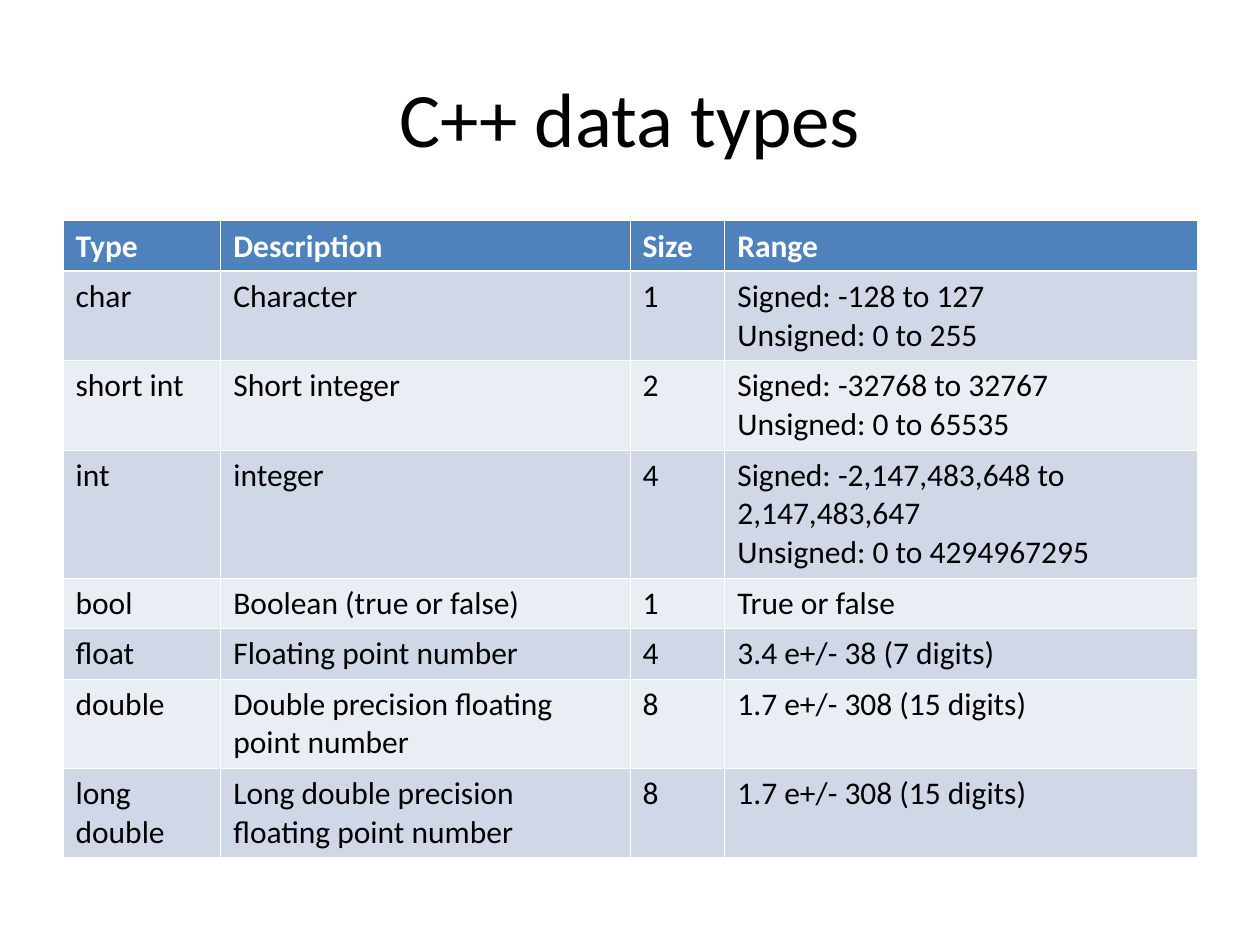
"""Build a slide with a table of C++ data types."""
import pptx
import pptx.dml.color
import pptx.enum.text
import pptx.oxml
import pptx.oxml.ns
import pptx.util

TITLE = "C++ data types"
HEAD = ("Type", "Description", "Size", "Range")
TYPES = [
    ("char", "Character", "1", "Signed: -128 to 127\nUnsigned: 0 to 255"),
    ("short int", "Short integer", "2", "Signed: -32768 to 32767\nUnsigned: 0 to 65535"),
    ("int", "integer", "4",
     "Signed: -2,147,483,648 to 2,147,483,647\nUnsigned: 0 to 4294967295"),
    ("bool", "Boolean (true or false)", "1", "True or false"),
    ("float", "Floating point number", "4", "3.4 e+/- 38 (7 digits)"),
    ("double", "Double precision floating point number", "8", "1.7 e+/- 308 (15 digits)"),
    ("long double", "Long double precision floating point number", "8",
     "1.7 e+/- 308 (15 digits)"),
]
LINES = (1, 2, 2, 3, 1, 1, 2, 2)
COLS = (3.18, 8.25, 1.91, 9.52)
COLOR = {"head": "4F81BD", "odd": "D0D8E8", "even": "E9EDF4",
         "white": "FFFFFF", "black": "000000"}
FONT = {
    "title": {"name": "Calibri", "size": pptx.util.Pt(44), "bold": False},
    "head": {"name": "Calibri", "size": pptx.util.Pt(18), "bold": True},
    "body": {"name": "Calibri", "size": pptx.util.Pt(18), "bold": False},
}
LEFT, WIDE = 1.27, 22.86
FIRST, STEP = 1.02, 0.78
THIN, THICK = 0.45, 1.47
Cm = pptx.util.Cm


def shade(name):
    return pptx.dml.color.RGBColor.from_string(COLOR[name])


def style(frame, kind, ink):
    for para in frame.paragraphs:
        for key, value in FONT[kind].items():
            setattr(para.font, key, value)
        para.font.color.rgb = shade(ink)


def edge(cell, side, width):
    cell._tc.get_or_add_tcPr().append(pptx.oxml.parse_xml(
        f'<a:ln{side} {pptx.oxml.ns.nsdecls("a")} w="{pptx.util.Pt(width)}">'
        f'<a:solidFill><a:srgbClr val="{COLOR["white"]}"/></a:solidFill></a:ln{side}>'))


def add_title(slide):
    frame = slide.shapes.add_textbox(Cm(LEFT), Cm(0.76), Cm(WIDE), Cm(3.18)).text_frame
    frame.text = TITLE
    frame.word_wrap = True
    frame.vertical_anchor = pptx.enum.text.MSO_ANCHOR.MIDDLE
    frame.paragraphs[0].alignment = pptx.enum.text.PP_ALIGN.CENTER
    style(frame, "title", "black")


def add_types(slide):
    rows = [HEAD, *TYPES]
    highs = [FIRST + STEP * (count - 1) for count in LINES]
    grid = slide.shapes.add_table(len(rows), len(COLS), Cm(LEFT), Cm(4.45),
                                  Cm(WIDE), Cm(sum(highs))).table
    for col, width in zip(grid.columns, COLS):
        col.width = Cm(width)
    for row, (texts, high) in enumerate(zip(rows, highs)):
        grid.rows[row].height = Cm(high)
        kind, ink = ("body", "black") if row else ("head", "white")
        fill = ("even", "odd")[row % 2] if row else "head"
        sides = {"L": THIN, "R": THIN, "T": THICK if row == 1 else THIN,
                 "B": THIN if row else THICK}
        for cell, text in zip(grid.rows[row].cells, texts):
            cell.text = text
            style(cell.text_frame, kind, ink)
            for side, width in sides.items():
                edge(cell, side, width)
            cell.fill.solid()
            cell.fill.fore_color.rgb = shade(fill)


def main():
    deck = pptx.Presentation()
    deck.slide_width, deck.slide_height = Cm(25.4), Cm(19.05)
    slide = deck.slides.add_slide(deck.slide_layouts[6])
    add_title(slide)
    add_types(slide)
    deck.save("out.pptx")


if __name__ == "__main__":
    main()
